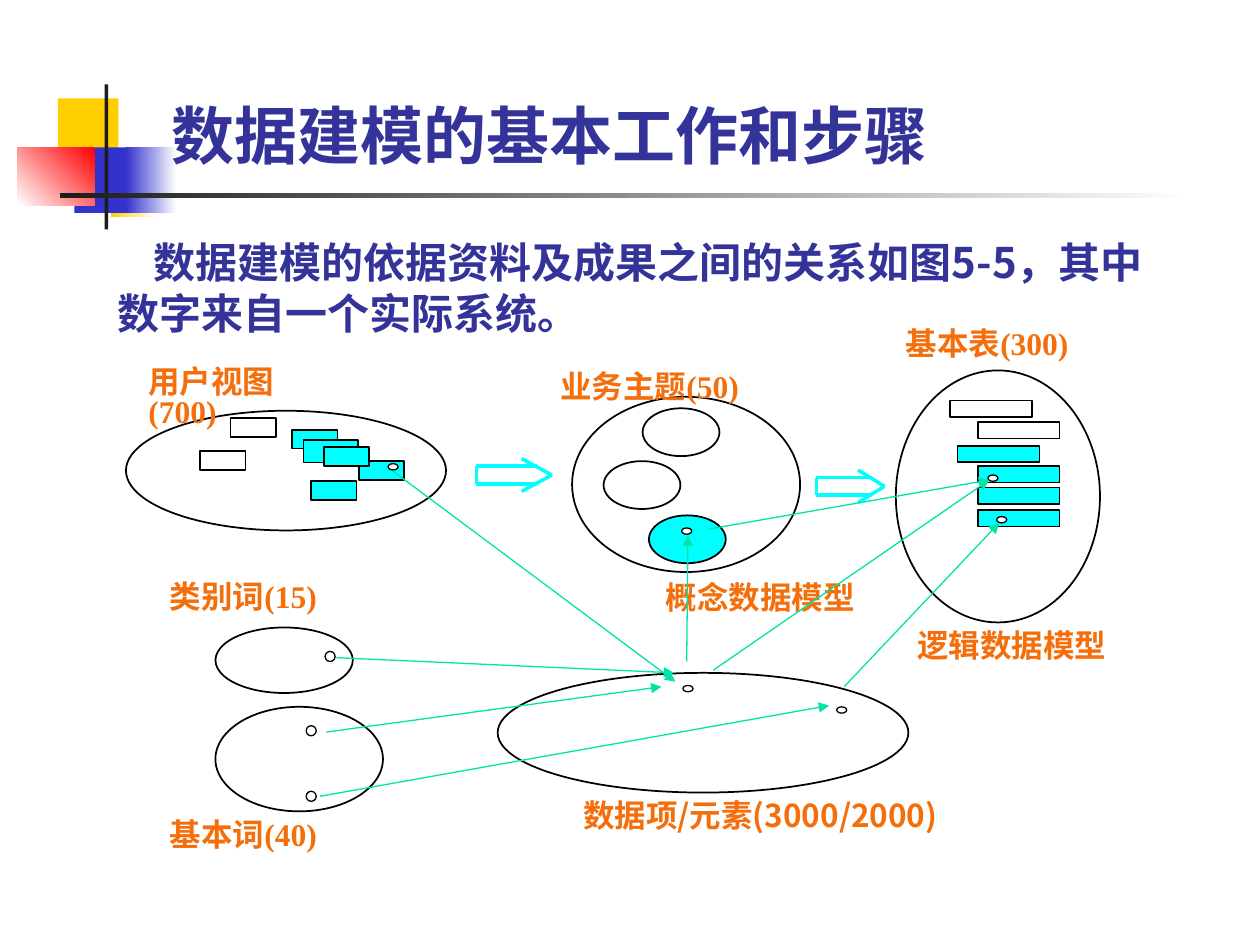
from lxml import etree
from pptx import Presentation
from pptx.dml.color import RGBColor as RGB
from pptx.enum.shapes import MSO_CONNECTOR as CONN, MSO_SHAPE as SHAPE
from pptx.enum.text import MSO_ANCHOR as ANCHOR, MSO_AUTO_SIZE as AUTO, PP_ALIGN as ALIGN
from pptx.oxml.ns import qn
from pptx.util import Pt

PX = 9144
C = {
    "yellow": "FFCF01", "blue": "3333CC", "red": "FF0000", "dark": "1C1C1C",
    "white": "FFFFFF", "black": "000000", "cyan": "00FFFF", "green": "00E4A8",
    "navy": "333399", "orange": "F46F0C",
}
SANS, SERIF = "Noto Sans CJK SC", "Times New Roman"

prs = Presentation()
prs.slide_width, prs.slide_height = 1000 * PX, 750 * PX
s = prs.slides.add_slide(prs.slide_layouts[1])


def put_text(sp, text, box, size=18, color="orange", font=SERIF, align=ALIGN.LEFT,
             anchor=ANCHOR.TOP, spacing=0.8, indent=0):
    sp.left, sp.top, sp.width, sp.height = [v * PX for v in box]
    tf = sp.text_frame
    tf.word_wrap, tf.auto_size, tf.vertical_anchor = True, AUTO.NONE, anchor
    p = tf.paragraphs[0]
    pPr = p._p.get_or_add_pPr()
    pPr.set("marL", "0")
    pPr.set("indent", str(indent * PX))
    etree.SubElement(pPr, qn("a:buNone"))
    p.alignment, p.line_spacing, p.space_before = align, spacing, Pt(0)
    r = p.add_run()
    r.text = text
    r.font.size, r.font.bold, r.font.name = Pt(size), True, font
    r.font.color.rgb = RGB.from_string(C[color])
    etree.SubElement(r._r.get_or_add_rPr(), qn("a:ea")).set("typeface", SANS)


def add_line(x1, y1, x2, y2, color, width, arrow=False):
    ln = s.shapes.add_connector(CONN.STRAIGHT, x1 * PX, y1 * PX, x2 * PX, y2 * PX)
    ln.line.color.rgb = RGB.from_string(C[color])
    ln.line.width = Pt(width)
    if arrow:
        etree.SubElement(ln.line._get_or_add_ln(), qn("a:tailEnd")).set("type", "triangle")
    etree.SubElement(ln._element.spPr, qn("a:effectLst"))


decorations = [
    (46, 78, 48, 52, ["yellow"], 0),
    (88, 120, 36, 52, ["white", "yellow"], 180),
    (59, 117, 46, 52, ["blue"], 0),
    (100, 117, 40, 52, ["white", "blue"], 180),
    (14, 117, 61, 46, ["red", "white"], 225),
    (83, 67, 3, 115, ["dark"], 0),
    (48, 153, 900, 4, ["white", "dark"], 180),
]
for x, y, w, h, colors, angle in decorations:
    sp = s.shapes.add_shape(SHAPE.RECTANGLE, x * PX, y * PX, w * PX, h * PX)
    sp.shadow.inherit = False
    sp.line.fill.background()
    if len(colors) == 1:
        sp.fill.solid()
        sp.fill.fore_color.rgb = RGB.from_string(C[colors[0]])
    else:
        sp.fill.gradient()
        sp.fill.gradient_angle = angle
        for stop, color in zip(sp.fill.gradient_stops, colors):
            stop.color.rgb = RGB.from_string(C[color])

title, body = s.shapes.title, s.placeholders[1]
for holder in (title, body):
    holder.element.getparent().append(holder.element)
put_text(title, "数据建模的基本工作和步骤", (126, 17, 852, 125), size=36, color="navy",
         font=SANS, anchor=ANCHOR.BOTTOM, spacing=1)
put_text(body, "数据建模的依据资料及成果之间的关系如图5-5，其中数字来自一个实际系统。",
         (83, 183, 842, 90), size=24, color="navy", font=SANS, spacing=1, indent=29)

sets = [
    (100, 326, 254, 95), (395, 534, 326, 95), (454, 315, 181, 139),
    (711, 294, 162, 200), (171, 498, 109, 52), (171, 561, 133, 83),
]
topics = [(510, 324, "white"), (479, 366, "white"), (515, 409, "cyan")]
views = [
    (285, 366, "cyan"), (247, 382, "cyan"), (159, 358, "white"),
    (183, 332, "white"), (232, 341, "cyan"),
]
tables = [
    (754, 318, "white"), (776, 335, "white"), (760, 354, "cyan"),
    (776, 370, "cyan"), (776, 387, "cyan"), (776, 405, "cyan"),
]
elements = [(308, 368), (542, 544), (664, 561), (541, 419), (784, 377), (791, 410)]
words = [(258, 517), (243, 576), (243, 628)]

OVAL, RECT = SHAPE.OVAL, SHAPE.RECTANGLE
figures = [(OVAL, *box, "white", 1) for box in sets]
figures += [(OVAL, x, y, 61, 38, color, 1) for x, y, color in topics]
figures += [(RECT, x, y, 36, 15, color, 1) for x, y, color in views]
figures += [(RECT, 241, 349, 43, 18, "cyan", 1), (RECT, 257, 355, 36, 15, "cyan", 1)]
figures += [(RECT, x, y, 65, 13, color, 1) for x, y, color in tables]
figures += [(OVAL, x, y, 8, 5, "white", 0.75) for x, y in elements]
figures += [(OVAL, x, y, 8, 8, "white", 0.75) for x, y in words]
for kind, x, y, w, h, color, width in figures:
    sp = s.shapes.add_shape(kind, x * PX, y * PX, w * PX, h * PX)
    sp.shadow.inherit = False
    sp.fill.solid()
    sp.fill.fore_color.rgb = RGB.from_string(C[color])
    sp.line.color.rgb = RGB.from_string(C["black"])
    sp.line.width = Pt(width)

labels = [
    ("用户视图(700)", (108, 288, 167, 82), {}),
    ("数据项/元素(3000/2000)", (453, 633, 350, 34), {"font": SANS}),
    ("业务主题(50)", (435, 292, 167, 58), {}),
    ("概念数据模型", (492, 460, 223, 34), {"align": ALIGN.CENTER}),
    ("基本表(300)", (709, 258, 149, 58), {}),
    ("逻辑数据模型", (718, 498, 223, 34), {}),
    ("类别词(15)", (125, 459, 167, 34), {}),
    ("基本词(40)", (125, 648, 167, 34), {}),
]
for text, box, style in labels:
    put_text(s.shapes.add_textbox(0, 0, 0, 0), text, box, **style)

for left, neck, shaft, tip, middle in [(378, 414, 426, 438, 377), (648, 681, 691, 702, 386)]:
    for side in (-1, 1):
        add_line(left, middle + 7 * side, shaft, middle + 7 * side, "cyan", 2)
        add_line(neck, middle + 13 * side, tip, middle, "cyan", 2)
    add_line(left, middle + 7, left, middle - 7, "cyan", 2)

links = [
    (312, 374, 536, 541), (545, 525, 546, 425), (562, 420, 785, 381),
    (566, 532, 785, 381), (670, 545, 793, 415), (267, 522, 535, 534),
    (259, 581, 525, 545), (254, 632, 658, 560),
]
for link in links:
    add_line(*link, "green", 0.75, arrow=True)

prs.save("out.pptx")
